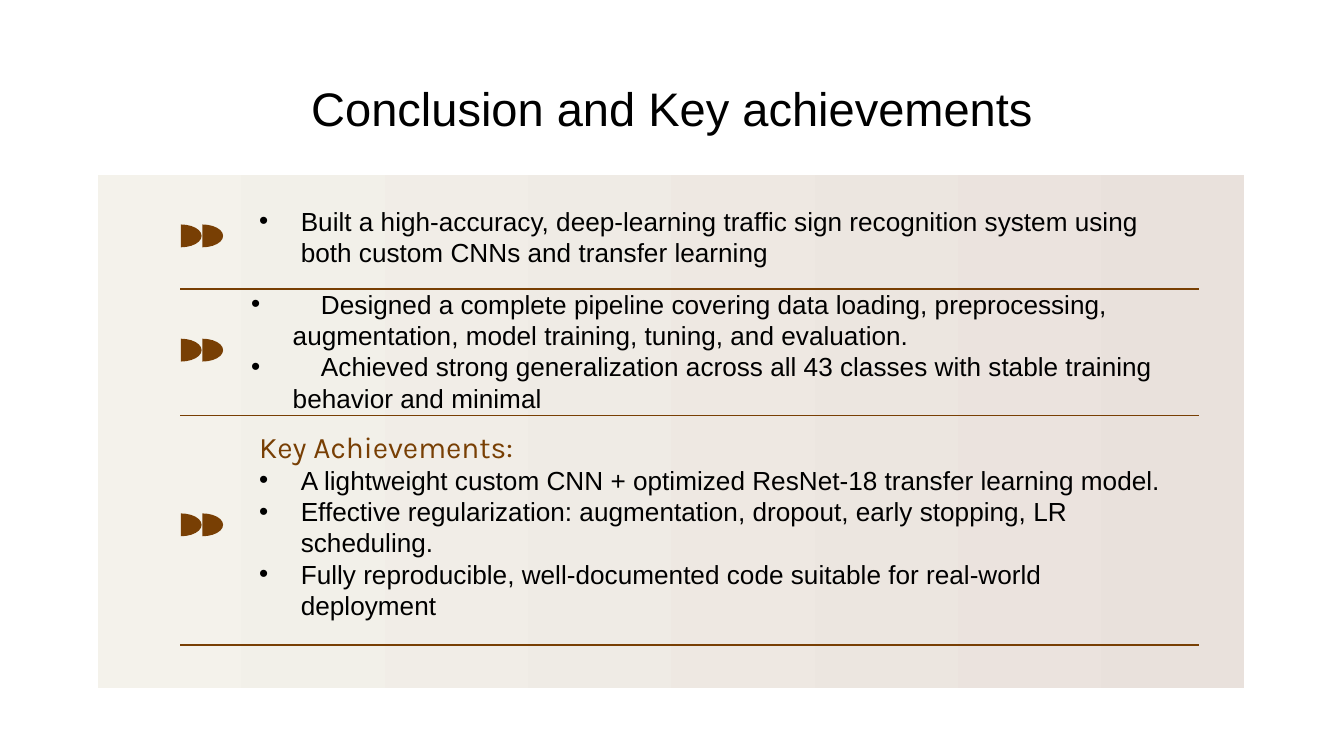
from dataclasses import dataclass

from lxml import etree
from pptx import Presentation
from pptx import util as u
from pptx.dml.color import RGBColor
from pptx.enum import shapes, text
from pptx.oxml.ns import qn


@dataclass(frozen=True)
class Theme:
    ink: str = "000000"
    accent: str = "783F04"
    panel_start: str = "F4F2EB"
    panel_end: str = "E9E1DC"
    body_font: str = "Arial"
    heading_font: str = "Karla"
    title_size: float = 25.2
    heading_size: float = 16
    body_size: float = 14
    rule_width: float = 0.75


@dataclass(frozen=True)
class Box:
    """Lengths in inches."""
    left: float
    top: float
    width: float
    height: float

    def emu(self) -> tuple:
        return tuple(u.Inches(value) for value in
                     (self.left, self.top, self.width, self.height))


@dataclass(frozen=True)
class Section:
    box: Box
    marker_top: float
    rule_y: float
    bullets: tuple
    heading: str = ""
    first_line_gap: float = 0
    inset: float = 0.1
    bottom_inset: float = 0.1


THEME = Theme()
WIDTH = 10
HEIGHT = WIDTH * 9 / 16
RULE_LEFT, RULE_RIGHT = 0.134 * WIDTH, 0.892 * WIDTH
MARKER_WIDTH, MARKER_HEIGHT = 0.31, 0.17
MARKER_LEFTS = (1.19, 1.35)
BULLET_INDENT = 0.31
TITLE_BOX = Box(0.34, 0.49, 9.32, 0.63)
PANEL_BOX = Box(0.73, 1.3, 8.53, 3.82)

SECTIONS = (
    Section(Box(1.83, 1.55, 7.09, 0.42), 1.67, 2.15, (
        "Built a high-accuracy, deep-learning traffic sign recognition system "
        "using both custom CNNs and transfer learning",)),
    Section(Box(1.77, 2.09, 7.04, 1.04), 2.52, 3.09, (
        "Designed a complete pipeline covering data loading, preprocessing, "
        "augmentation, model training, tuning, and evaluation.",
        "Achieved strong generalization across all 43 classes with stable "
        "training behavior and minimal"),
        first_line_gap=0.21, inset=0.05, bottom_inset=0.05),
    Section(Box(1.83, 3.38, 7.05, 1.3), 3.82, 4.8, (
        "A lightweight custom CNN + optimized ResNet-18 transfer learning model.",
        "Effective regularization: augmentation, dropout, early stopping, LR scheduling.",
        "Fully reproducible, well-documented code suitable for real-world deployment"),
        heading="Key Achievements:", bottom_inset=0.3),
)


def color(value: str) -> RGBColor:
    return RGBColor.from_string(value)


def set_font(paragraph, name: str, size: float, ink: str) -> None:
    paragraph.font.name = name
    paragraph.font.size = u.Pt(size)
    paragraph.font.color.rgb = color(ink)


def add_bullet(paragraph, first_line_gap: float) -> None:
    """Hang a bullet; a tab stop sets the extra gap on the first line."""
    properties = paragraph._p.get_or_add_pPr()
    properties.set("marL", str(u.Inches(BULLET_INDENT)))
    properties.set("indent", str(-u.Inches(BULLET_INDENT)))
    bullet_color = etree.SubElement(properties, qn("a:buClr"))
    etree.SubElement(bullet_color, qn("a:srgbClr"), val=THEME.ink)
    etree.SubElement(properties, qn("a:buFont"), typeface=THEME.body_font)
    etree.SubElement(properties, qn("a:buChar"), char="•")
    if first_line_gap:
        tabs = etree.SubElement(properties, qn("a:tabLst"))
        position = u.Inches(BULLET_INDENT + first_line_gap)
        etree.SubElement(tabs, qn("a:tab"), pos=str(position), algn="l")


def add_title(slide, wording: str) -> None:
    title = slide.shapes.title
    title.left, title.top, title.width, title.height = TITLE_BOX.emu()
    frame = title.text_frame
    frame.auto_size = text.MSO_AUTO_SIZE.NONE
    frame.vertical_anchor = text.MSO_ANCHOR.TOP
    frame.margin_top = frame.margin_bottom = u.Inches(0.1)
    frame.text = wording
    paragraph = frame.paragraphs[0]
    paragraph.alignment = text.PP_ALIGN.CENTER
    set_font(paragraph, THEME.body_font, THEME.title_size, THEME.ink)


def add_panel(slide) -> None:
    panel = slide.shapes.add_shape(shapes.MSO_SHAPE.RECTANGLE, *PANEL_BOX.emu())
    panel.shadow.inherit = False
    panel.line.fill.background()
    panel.fill.gradient()
    panel.fill.gradient_angle = 0
    stops = panel.fill.gradient_stops
    for stop, position, value in zip(
            stops, (0, 1), (THEME.panel_start, THEME.panel_end)):
        stop.position = position
        stop.color.rgb = color(value)


def add_rule(slide, y: float) -> None:
    rule = slide.shapes.add_connector(
        shapes.MSO_CONNECTOR.STRAIGHT, u.Inches(RULE_LEFT), u.Inches(y),
        u.Inches(RULE_RIGHT), u.Inches(y))
    rule.line.color.rgb = color(THEME.accent)
    rule.line.width = u.Pt(THEME.rule_width)
    etree.SubElement(rule._element.spPr, qn("a:effectLst"))


def add_marker(slide, top: float) -> None:
    """Two half discs side by side, pointing right."""
    for left in MARKER_LEFTS:
        box = Box(left, top, MARKER_WIDTH, MARKER_HEIGHT)
        half = slide.shapes.add_shape(shapes.MSO_SHAPE.PIE, *box.emu())
        half.adjustments[0], half.adjustments[1] = 54, 162
        half.rotation = 180
        half.shadow.inherit = False
        half.fill.solid()
        half.fill.fore_color.rgb = color(THEME.accent)
        half.line.fill.background()


def add_section_text(slide, section: Section) -> None:
    frame = slide.shapes.add_textbox(*section.box.emu()).text_frame
    frame.word_wrap = True
    frame.vertical_anchor = text.MSO_ANCHOR.MIDDLE
    frame.margin_left = frame.margin_right = u.Inches(0.1)
    frame.margin_top = u.Inches(section.inset)
    frame.margin_bottom = u.Inches(section.bottom_inset)
    paragraph = frame.paragraphs[0]
    if section.heading:
        paragraph.text = section.heading
        paragraph.line_spacing = 0.8
        set_font(paragraph, THEME.heading_font, THEME.heading_size, THEME.accent)
        paragraph = frame.add_paragraph()
    for index, wording in enumerate(section.bullets):
        if index:
            paragraph = frame.add_paragraph()
        paragraph.text = "\t" + wording if section.first_line_gap else wording
        add_bullet(paragraph, section.first_line_gap)
        set_font(paragraph, THEME.body_font, THEME.body_size, THEME.ink)


def main() -> None:
    presentation = Presentation()
    presentation.slide_width = u.Inches(WIDTH)
    presentation.slide_height = u.Inches(HEIGHT)
    slide = presentation.slides.add_slide(presentation.slide_layouts[5])
    add_title(slide, "Conclusion and Key achievements")
    add_panel(slide)
    for section in SECTIONS:
        add_rule(slide, section.rule_y)
        add_marker(slide, section.marker_top)
        add_section_text(slide, section)
    presentation.save("out.pptx")


if __name__ == "__main__":
    main()
